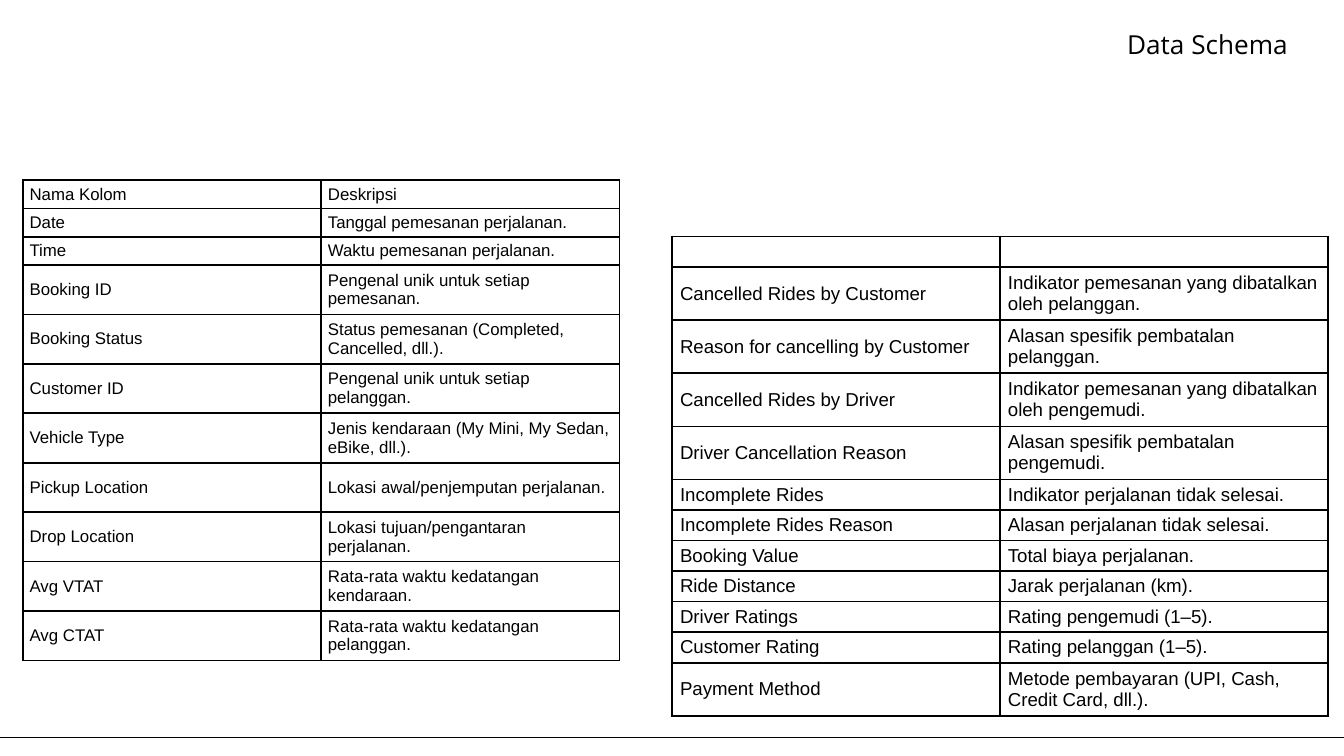
import dataclasses

import lxml.etree
import pptx
import pptx.dml.color
import pptx.enum.shapes
import pptx.enum.text
import pptx.oxml.ns
import pptx.presentation
import pptx.slide
import pptx.table
import pptx.text.text
import pptx.util

Inches = pptx.util.Inches
Pt = pptx.util.Pt
qn = pptx.oxml.ns.qn

COLORS = {"ink": "000000"}
INK = pptx.dml.color.RGBColor.from_string(COLORS["ink"])
MIDDLE = pptx.enum.text.MSO_ANCHOR.MIDDLE
TABLE_HEIGHT = 3.57


@dataclasses.dataclass(frozen=True)
class SchemaTable:
    left: float
    top: float
    column_width: float
    short_row: float
    tall_row: float
    tall_rows: range | set[int]
    side_inset: float
    font_size: int
    rows: list[tuple[str, str]]


BOOKING = SchemaTable(
    0.17, 1.34, 2.22, 0.21, 0.37, range(3, 11), 0.05, 9,
    [
        ("Nama Kolom", "Deskripsi"),
        ("Date", "Tanggal pemesanan perjalanan."),
        ("Time", "Waktu pemesanan perjalanan."),
        ("Booking ID", "Pengenal unik untuk setiap pemesanan."),
        ("Booking Status", "Status pemesanan (Completed, Cancelled, dll.)."),
        ("Customer ID", "Pengenal unik untuk setiap pelanggan."),
        ("Vehicle Type", "Jenis kendaraan (My Mini, My Sedan, eBike, dll.)."),
        ("Pickup Location", "Lokasi awal/penjemputan perjalanan."),
        ("Drop Location", "Lokasi tujuan/pengantaran perjalanan."),
        ("Avg VTAT", "Rata-rata waktu kedatangan kendaraan."),
        ("Avg CTAT", "Rata-rata waktu kedatangan pelanggan."),
    ],
)
RIDE_OUTCOME = SchemaTable(
    5, 1.76, 2.44, 0.23, 0.4, {1, 2, 3, 4, 11}, 0.06, 10,
    [
        ("", ""),
        ("Cancelled Rides by Customer",
         "Indikator pemesanan yang dibatalkan oleh pelanggan."),
        ("Reason for cancelling by Customer",
         "Alasan spesifik pembatalan pelanggan."),
        ("Cancelled Rides by Driver",
         "Indikator pemesanan yang dibatalkan oleh pengemudi."),
        ("Driver Cancellation Reason", "Alasan spesifik pembatalan pengemudi."),
        ("Incomplete Rides", "Indikator perjalanan tidak selesai."),
        ("Incomplete Rides Reason", "Alasan perjalanan tidak selesai."),
        ("Booking Value", "Total biaya perjalanan."),
        ("Ride Distance", "Jarak perjalanan (km)."),
        ("Driver Ratings", "Rating pengemudi (1–5)."),
        ("Customer Rating", "Rating pelanggan (1–5)."),
        ("Payment Method", "Metode pembayaran (UPI, Cash, Credit Card, dll.)."),
    ],
)


def set_attributes(target: object, values: dict[str, object]) -> None:
    for name, value in values.items():
        setattr(target, name, value)


def write_text(para: pptx.text.text._Paragraph, text: str, font: str, size: int) -> None:
    """Add one run, or fix the line height of an empty paragraph."""
    if not text:
        lxml.etree.SubElement(para._p, qn("a:endParaRPr"), sz=str(size * 100))
        return
    span = para.add_run()
    span.text = text
    set_attributes(span.font, {"name": font, "size": Pt(size)})
    span.font.color.rgb = INK


def add_borders(cell: pptx.table._Cell) -> None:
    properties = cell._tc.get_or_add_tcPr()
    for position, side in enumerate(("lnL", "lnR", "lnT", "lnB")):
        line = lxml.etree.Element(qn(f"a:{side}"), w=str(Pt(1)))
        fill = lxml.etree.SubElement(line, qn("a:solidFill"))
        lxml.etree.SubElement(fill, qn("a:srgbClr"), val=COLORS["ink"])
        properties.insert(position, line)


def row_heights(schema: SchemaTable) -> list[float]:
    """Scale the short and tall rows so that they fill the table height."""
    heights = [
        schema.tall_row if index in schema.tall_rows else schema.short_row
        for index in range(len(schema.rows))
    ]
    scale = TABLE_HEIGHT / sum(heights)
    return [height * scale for height in heights]


def draw_table(page: pptx.slide.Slide, schema: SchemaTable) -> None:
    table = page.shapes.add_table(
        len(schema.rows), 2, Inches(schema.left), Inches(schema.top),
        Inches(2 * schema.column_width), Inches(TABLE_HEIGHT),
    ).table
    set_attributes(table, {"first_row": False, "horz_banding": False})
    for column in table.columns:
        column.width = Inches(schema.column_width)
    cell_format = {
        "vertical_anchor": MIDDLE,
        "margin_left": Inches(schema.side_inset),
        "margin_right": Inches(schema.side_inset),
        "margin_top": Inches(0.03),
        "margin_bottom": Inches(0.03),
    }
    for row, height, texts in zip(table.rows, row_heights(schema), schema.rows):
        row.height = Inches(height)
        for cell, text in zip(row.cells, texts):
            set_attributes(cell, cell_format)
            cell.fill.background()
            add_borders(cell)
            write_text(cell.text_frame.paragraphs[0], text, "Arial", schema.font_size)


def draw_title(page: pptx.slide.Slide) -> None:
    box = page.shapes.add_textbox(Inches(7.89), Inches(0.14), Inches(1.94), Inches(0.41))
    frame_format = {
        "word_wrap": True,
        "auto_size": pptx.enum.text.MSO_AUTO_SIZE.SHAPE_TO_FIT_TEXT,
        "vertical_anchor": pptx.enum.text.MSO_ANCHOR.BOTTOM,
    }
    for side in ("left", "right", "top", "bottom"):
        frame_format[f"margin_{side}"] = Inches(0.1)
    set_attributes(box.text_frame, frame_format)
    para = box.text_frame.paragraphs[0]
    set_attributes(para, {"alignment": pptx.enum.text.PP_ALIGN.CENTER, "line_spacing": 0.9})
    para._p.get_or_add_pPr().set("marL", str(Inches(0.25)))
    write_text(para, "Data Schema", "Open Sans", 14)


def draw_footer_line(page: pptx.slide.Slide) -> None:
    line = page.shapes.add_connector(
        pptx.enum.shapes.MSO_CONNECTOR.STRAIGHT,
        Inches(0), Inches(5.49), Inches(10), Inches(5.49),
    )
    line.line.color.rgb = INK
    line.line.width = Pt(0.75)
    lxml.etree.SubElement(line._element.spPr, qn("a:effectLst"))


def build_deck() -> pptx.presentation.Presentation:
    deck = pptx.Presentation()
    width = Inches(10)
    set_attributes(deck, {"slide_width": width, "slide_height": width * 9 // 16})
    page = deck.slides.add_slide(deck.slide_layouts[6])
    draw_footer_line(page)
    draw_title(page)
    for schema in (BOOKING, RIDE_OUTCOME):
        draw_table(page, schema)
    return deck


if __name__ == "__main__":
    build_deck().save("out.pptx")
